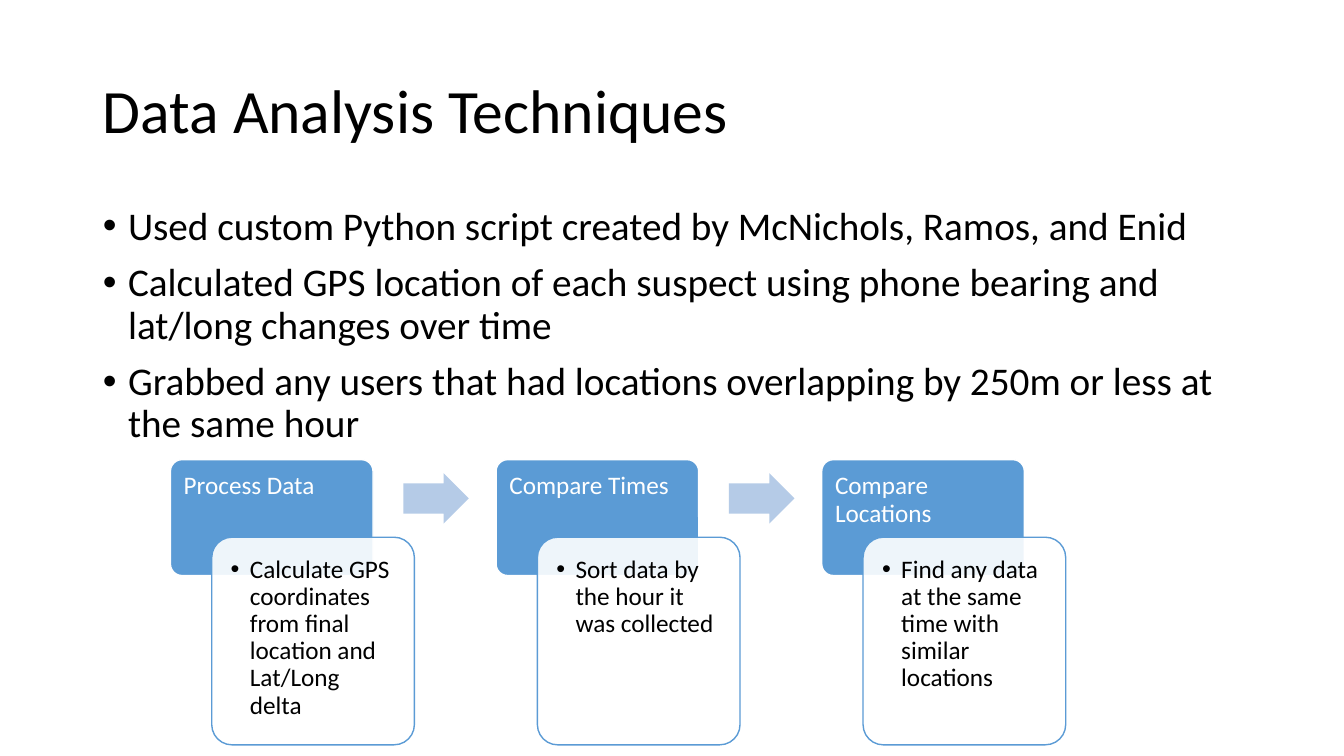
from dataclasses import dataclass

from lxml.etree import SubElement
from pptx import Presentation
from pptx.dml.color import RGBColor
from pptx.enum.shapes import MSO_SHAPE as Shape
from pptx.enum.text import MSO_ANCHOR as Anchor, MSO_AUTO_SIZE as AutoSize, PP_ALIGN as Align
from pptx.oxml.ns import qn
from pptx.util import Inches, Pt

TITLE = "Data Analysis Techniques"
POINTS = [
    "Used custom Python script created by McNichols, Ramos, and Enid",
    "Calculated GPS location of each suspect using phone bearing and lat/long changes over time",
    "Grabbed any users that had locations overlapping by 250m or less at the same hour",
]
STEPS = [
    ("Process Data", "Calculate GPS coordinates from final location and Lat/Long delta"),
    ("Compare Times", "Sort data by the hour it was collected"),
    ("Compare Locations", "Find any data at the same time with similar locations"),
]


@dataclass(frozen=True)
class Theme:
    font: str = "Calibri"
    ink: str = "000000"
    paper: str = "FFFFFF"
    accent: str = "5B9BD5"
    arrow: str = "B5CBE7"
    title_size: int = 44
    body_size: int = 28
    step_size: int = 18


THEME = Theme()
PAGE_WIDTH, PAGE_HEIGHT = 13.33, 7.5
MARGIN, CONTENT_WIDTH = 0.92, 11.5

# Step diagram: one column per step, the card offset from its heading
FLOW_LEFT, FLOW_TOP, COLUMN = 1.69, 4.56, 3.23
BOX_WIDTH, HEAD_HEIGHT, CARD_HEIGHT = 2.01, 1.15, 2.06
CARD_SHIFT, CARD_DROP = 0.41, 0.77
ARROW_SHIFT, ARROW_WIDTH, ARROW_HEIGHT = 2.31, 0.65, 0.5
# Rounded corners add their own inset to these
HEAD_INSET, CARD_INSET = 0.1, 0.13


def place(shape, left, top, width, height):
    shape.left, shape.top = Inches(left), Inches(top)
    shape.width, shape.height = Inches(width), Inches(height)


def style_para(para, size, color, before=0, indent=0):
    """Format a paragraph; an indent gives it a hanging bullet."""
    para.alignment = Align.LEFT
    para.line_spacing = 0.9
    para.space_before, para.space_after = Pt(before), Pt(0)
    for span in para.runs:
        span.font.name, span.font.size = THEME.font, Pt(size)
        span.font.color.rgb = RGBColor.from_string(color)
    if indent:
        properties = para._p.get_or_add_pPr()
        properties.set("marL", str(Inches(indent)))
        properties.set("indent", str(-Inches(indent)))
        SubElement(properties, qn("a:buFont"), typeface="Arial")
        SubElement(properties, qn("a:buChar"), char="•")


def add_block(page, kind, box, fill, line=None, adjust=(0.1,), opacity=None):
    block = page.shapes.add_shape(kind, *map(Inches, box))
    block.shadow.inherit = False
    for index, value in enumerate(adjust):
        block.adjustments[index] = value
    block.fill.solid()
    block.fill.fore_color.rgb = RGBColor.from_string(fill)
    if opacity:
        color = block._element.spPr.find(".//" + qn("a:srgbClr"))
        SubElement(color, qn("a:alpha"), val=str(opacity * 1000))
    if line:
        block.line.color.rgb = RGBColor.from_string(line)
        block.line.width = Pt(1)
    else:
        block.line.fill.background()
    return block


def write_block(block, text, color, inset, indent=0):
    frame = block.text_frame
    frame.text, frame.word_wrap = text, True
    frame.vertical_anchor = Anchor.TOP
    frame.margin_left = frame.margin_right = Inches(inset)
    frame.margin_top, frame.margin_bottom = Inches(inset), Inches(0.07)
    style_para(frame.paragraphs[0], THEME.step_size, color, indent=indent)


def add_step(page, index, heading, detail):
    left = FLOW_LEFT + index * COLUMN
    head = add_block(page, Shape.ROUNDED_RECTANGLE,
                     (left, FLOW_TOP, BOX_WIDTH, HEAD_HEIGHT), THEME.accent, THEME.paper)
    write_block(head, heading, THEME.paper, HEAD_INSET)
    card = add_block(page, Shape.ROUNDED_RECTANGLE,
                     (left + CARD_SHIFT, FLOW_TOP + CARD_DROP, BOX_WIDTH, CARD_HEIGHT),
                     THEME.paper, THEME.accent, opacity=90)
    write_block(card, detail, THEME.ink, CARD_INSET, indent=0.19)
    if index < len(STEPS) - 1:
        top = FLOW_TOP + (CARD_DROP - ARROW_HEIGHT) / 2
        add_block(page, Shape.RIGHT_ARROW, (left + ARROW_SHIFT, top, ARROW_WIDTH, ARROW_HEIGHT),
                  THEME.arrow, adjust=(0.6, 0.5))


def main():
    deck = Presentation()
    deck.slide_width, deck.slide_height = Inches(PAGE_WIDTH), Inches(PAGE_HEIGHT)
    page = deck.slides.add_slide(deck.slide_layouts[1])

    title, body = page.placeholders
    place(title, MARGIN, 0.4, CONTENT_WIDTH, 1.45)
    title.text_frame.text = TITLE
    title.text_frame.vertical_anchor = Anchor.MIDDLE
    style_para(title.text_frame.paragraphs[0], THEME.title_size, THEME.ink)

    place(body, MARGIN, 2, CONTENT_WIDTH, 4.76)
    body.text_frame.text = "\n".join(POINTS)
    body.text_frame.auto_size = AutoSize.NONE
    for para in body.text_frame.paragraphs:
        style_para(para, THEME.body_size, THEME.ink, before=10, indent=0.25)

    for index, (heading, detail) in enumerate(STEPS):
        add_step(page, index, heading, detail)
    deck.save("out.pptx")


if __name__ == "__main__":
    main()
